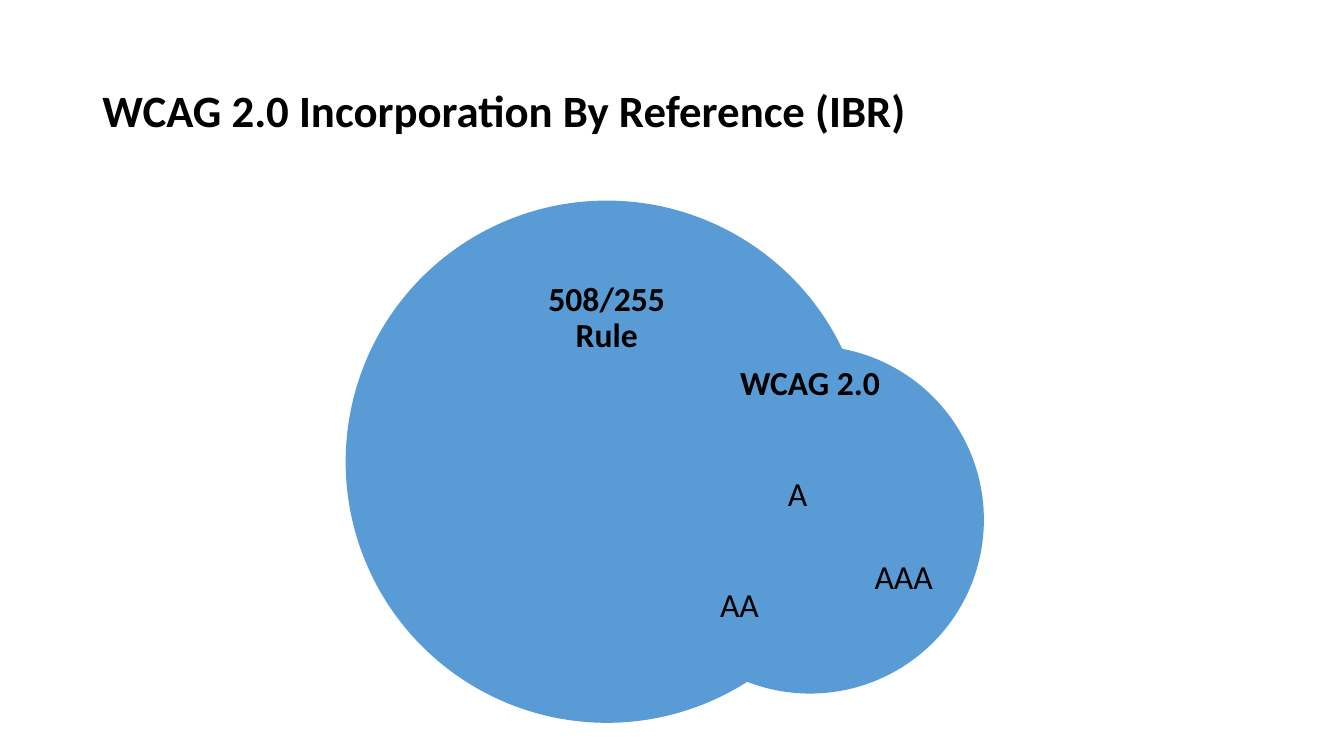
"""Draw nested circles showing how the 508/255 rule takes in WCAG 2.0."""
from dataclasses import dataclass

from pptx import Presentation
from pptx.dml.color import RGBColor
from pptx.enum.shapes import MSO_SHAPE as Form
from pptx.enum.text import MSO_ANCHOR as Anchor, PP_ALIGN as Align
from pptx.slide import Slide
from pptx.text.text import TextFrame
from pptx.util import Pt

BLUE = RGBColor(0x59, 0x9B, 0xD5)
BLACK = RGBColor(0, 0, 0)
FONT = "Calibri"
WIDE, HIGH = 112, 60
SMALL = 82.8


@dataclass(frozen=True)
class Disc:
    """A circle by its centre and size, with the middle height of its label."""

    text: str
    x: float
    y: float
    size: float
    mid: float
    bold: bool = False


DISCS = [
    Disc("508/255 Rule", 433.4, 329.8, 373, 227.5, bold=True),
    Disc("WCAG 2.0", 578.6, 371.2, 248.4, 274.5, bold=True),
    Disc("A", 569.7, 357.4, SMALL, 354),
    Disc("AA", 528.2, 433.8, SMALL, 433),
    Disc("AAA", 645.5, 413, SMALL, 413),
]


def write(frame: TextFrame, text: str, *, size: float, bold: bool = False,
          align: Align = Align.LEFT) -> None:
    """Set the text of a frame and its format."""
    frame.word_wrap = True
    frame.vertical_anchor = Anchor.MIDDLE
    frame.text = text
    para = frame.paragraphs[0]
    para.alignment = align
    para.line_spacing = 0.9
    font = para.runs[0].font
    font.name, font.size, font.bold = FONT, Pt(size), bold
    font.color.rgb = BLACK


def draw(slide: Slide, disc: Disc) -> None:
    """Draw one circle and its label."""
    half = disc.size / 2
    shape = slide.shapes.add_shape(Form.OVAL, Pt(disc.x - half), Pt(disc.y - half),
                                   Pt(disc.size), Pt(disc.size))
    shape.shadow.inherit = False
    shape.fill.solid()
    shape.fill.fore_color.rgb = BLUE
    shape.line.fill.background()

    box = slide.shapes.add_textbox(Pt(disc.x - WIDE / 2), Pt(disc.mid - HIGH / 2),
                                   Pt(WIDE), Pt(HIGH))
    frame = box.text_frame
    frame.margin_left = frame.margin_right = 0
    frame.margin_top = frame.margin_bottom = 0
    write(frame, disc.text, size=24, bold=disc.bold, align=Align.CENTER)


def main() -> None:
    """Build the slide and save it."""
    deck = Presentation()
    deck.slide_width, deck.slide_height = Pt(960), Pt(540)
    slide = deck.slides.add_slide(deck.slide_layouts[5])
    title = slide.shapes.title
    title.left, title.top = Pt(66), Pt(28.8)
    title.width, title.height = Pt(828), Pt(104.4)
    write(title.text_frame, "WCAG 2.0 Incorporation By Reference (IBR)", size=32, bold=True)
    for disc in DISCS:
        draw(slide, disc)
    deck.save("out.pptx")


if __name__ == "__main__":
    main()
